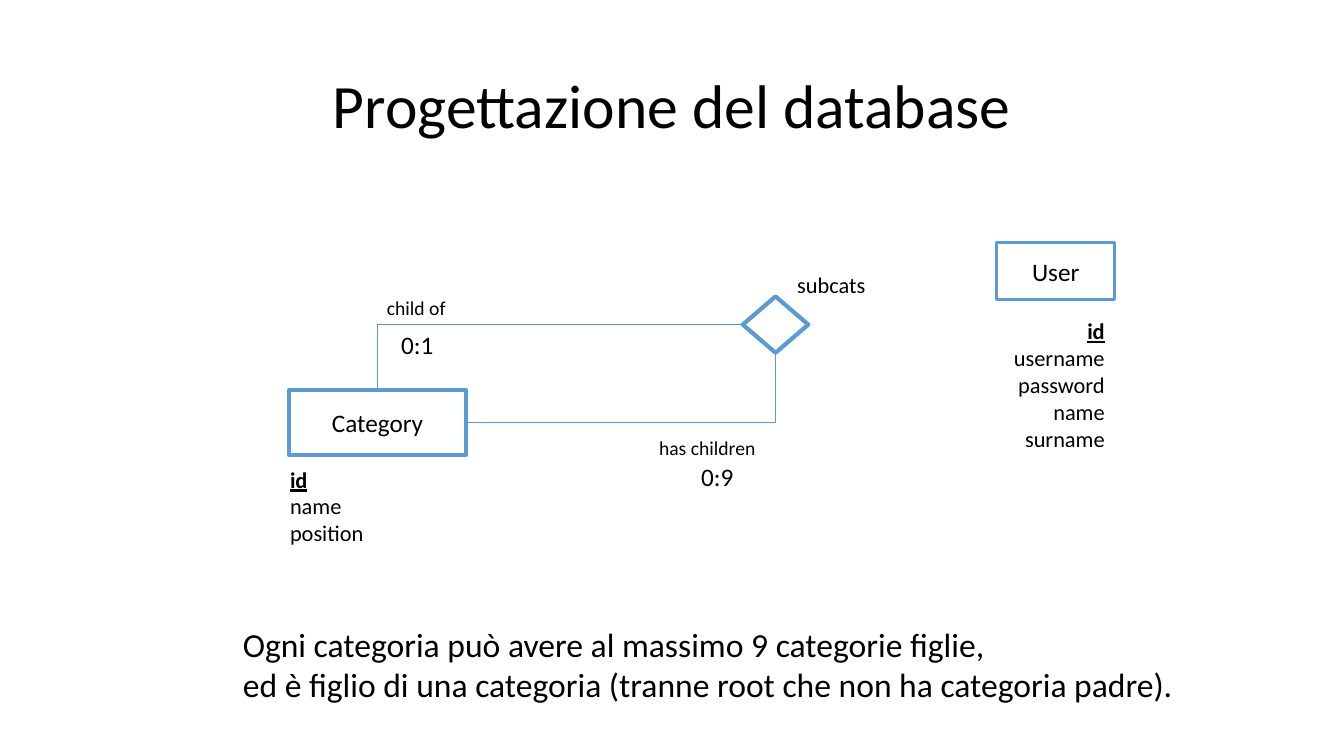
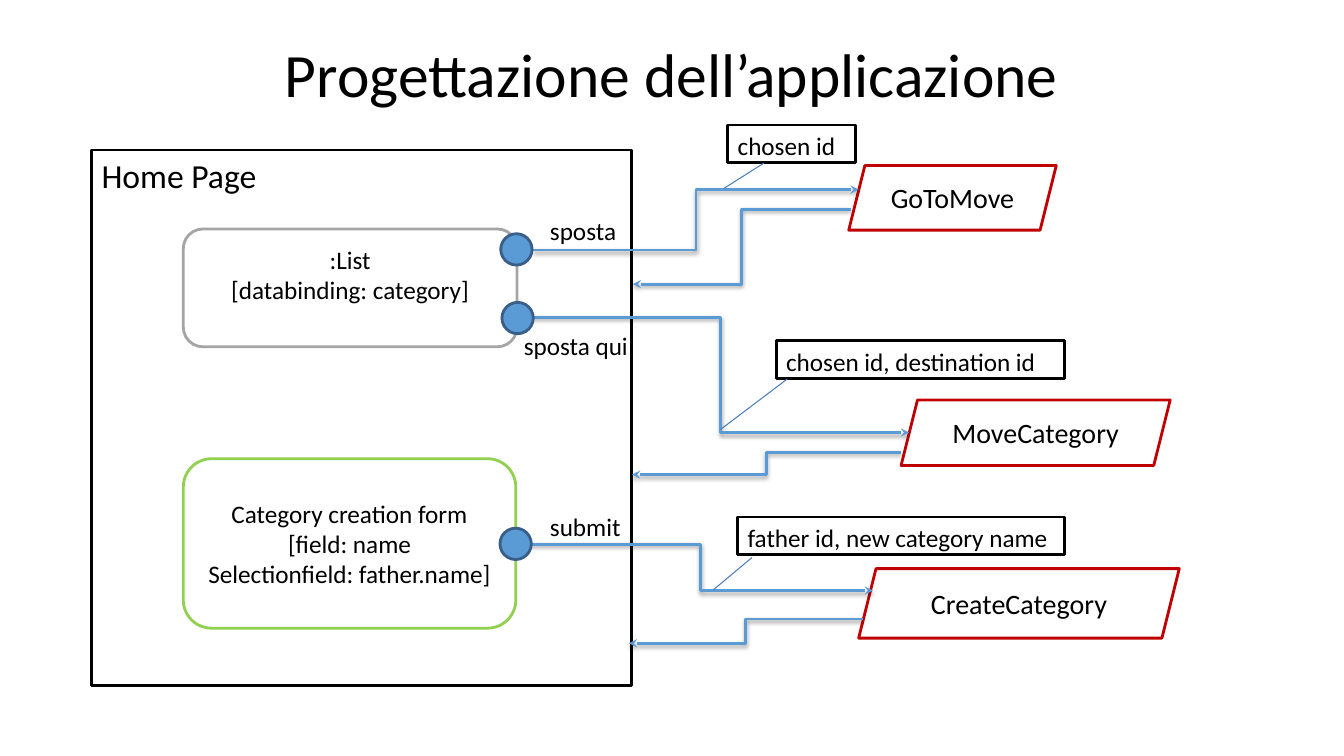
from dataclasses import dataclass, field
from typing import Any, NamedTuple, Optional

from pptx import Presentation
from pptx.dml.color import RGBColor as Rgb
from pptx.enum.shapes import MSO_CONNECTOR as Link, MSO_SHAPE as Form
from pptx.enum.text import MSO_ANCHOR as Anchor, PP_ALIGN as Align
from pptx.oxml import parse_xml
from pptx.oxml.ns import nsdecls
from pptx.util import Cm, Pt


@dataclass(frozen=True)
class Theme:
    font: str = "Calibri"
    black: str = "000000"
    white: str = "FFFFFF"
    blue: str = "5B9BD5"
    navy: str = "395E89"
    steel: str = "4A7DBA"
    green: str = "92D050"
    gray: str = "A5A5A5"
    red: str = "C00000"
    title: int = 44
    large: int = 24
    act: int = 20
    body: int = 18
    small: int = 16
    tiny: int = 14


T = Theme()


class Area(NamedTuple):
    left: float
    top: float
    width: float
    height: float


class Point(NamedTuple):
    x: float
    y: float


@dataclass(frozen=True)
class Text:
    lines: tuple[str, ...] = ()
    size: int = T.body
    align: Align = Align.LEFT
    anchor: Anchor = Anchor.TOP
    wrap: bool = True
    key: bool = False
    space: float = 1.0
    base: float = 0.13


@dataclass(frozen=True)
class Box:
    area: Area
    edge: str
    text: Text = field(default_factory=Text)
    form: Form = Form.RECTANGLE
    fill: str = T.white
    weight: float = 2


@dataclass(frozen=True)
class Label:
    area: Area
    text: Text


@dataclass(frozen=True)
class Wire:
    start: Point
    end: Point
    tint: str = T.blue
    weight: float = 2
    kind: Link = Link.ELBOW
    arrow: bool = True


def apply(item: Any, values: dict[str, Any]) -> None:
    for name, value in values.items():
        setattr(item, name, value)


def write(shape: Any, text: Text) -> None:
    frame = shape.text_frame
    apply(frame, {
        "word_wrap": text.wrap,
        "vertical_anchor": text.anchor,
        "margin_bottom": Cm(text.base),
    })
    for row, line in enumerate(text.lines):
        para = frame.add_paragraph() if row else frame.paragraphs[0]
        apply(para, {"alignment": text.align, "line_spacing": text.space})
        run = para.add_run()
        run.text = line
        mark = text.key and row == 0
        apply(run.font, {
            "name": T.font, "size": Pt(text.size),
            "bold": mark, "underline": mark,
        })
        run.font.color.rgb = Rgb.from_string(T.black)


def draw_box(slide: Any, box: Box) -> Any:
    shape = slide.shapes.add_shape(box.form, *map(Cm, box.area))
    shape.shadow.inherit = False
    shape.fill.solid()
    shape.fill.fore_color.rgb = Rgb.from_string(box.fill)
    shape.line.color.rgb = Rgb.from_string(box.edge)
    shape.line.width = Pt(box.weight)
    write(shape, box.text)
    return shape


def draw_label(slide: Any, label: Label) -> None:
    write(slide.shapes.add_textbox(*map(Cm, label.area)), label.text)


def draw_title(slide: Any, area: Area, words: str) -> None:
    draw_label(slide, Label(area, Text(
        (words,), T.title, Align.CENTER, Anchor.MIDDLE, space=0.9)))


def draw_wire(slide: Any, wire: Wire) -> Any:
    link = slide.shapes.add_connector(
        wire.kind, *map(Cm, (*wire.start, *wire.end)))
    link.line.color.rgb = Rgb.from_string(wire.tint)
    link.line.width = Pt(wire.weight)
    shade = ""
    if wire.arrow:
        link.line._get_or_add_ln().append(
            parse_xml(f'<a:tailEnd {nsdecls("a")} type="stealth"/>'))
        shade = ('<a:outerShdw blurRad="40000" dist="20000" dir="5400000" '
                 f'rotWithShape="0"><a:srgbClr val="{T.black}">'
                 '<a:alpha val="38000"/></a:srgbClr></a:outerShdw>')
    link._element.spPr.append(
        parse_xml(f'<a:effectLst {nsdecls("a")}>{shade}</a:effectLst>'))
    return link


def join(slide: Any, first: Any, side: int, last: Any, port: int) -> None:
    link = draw_wire(slide, Wire(
        Point(0, 0), Point(1, 1), weight=0.5, arrow=False))
    link.begin_connect(first, side)
    link.end_connect(last, port)
    link._element.spPr.prstGeom.set("prst", "bentConnector2")


def middle(*lines: str, size: int = T.body, base: float = 0.13) -> Text:
    return Text(lines, size, Align.CENTER, Anchor.MIDDLE, base=base)


def free(*lines: str, size: int = T.body, key: bool = False) -> Text:
    return Text(lines, size, wrap=False, key=key)


def build_data(slide: Any) -> None:
    draw_title(slide, Area(2.33, 0.89, 29.21, 3.68),
               "Progettazione del database")
    group = draw_box(slide, Box(
        Area(7.28, 9.83, 4.47, 1.63), T.blue, middle("Category"), weight=3))
    knot = draw_box(slide, Box(
        Area(18.72, 7.47, 1.65, 1.42), T.blue, form=Form.DIAMOND, weight=3))
    draw_box(slide, Box(
        Area(25.12, 6.12, 2.97, 1.42), T.blue, middle("User")))
    join(slide, group, 3, knot, 2)
    join(slide, knot, 1, group, 0)
    for label in (
        Label(Area(17.42, 11.51, 1.35, 1.02), free("0:9")),
        Label(Area(16.36, 10.87, 2.97, 0.86),
              free("has children", size=T.tiny)),
        Label(Area(9.5, 7.32, 2.01, 0.86), free("child of", size=T.tiny)),
        Label(Area(9.86, 8.18, 1.35, 1.02), free("0:1")),
        Label(Area(7.06, 11.61, 2.39, 2.31),
              free("id", "name", "position", size=T.small, key=True)),
        Label(Area(19.84, 6.71, 2.26, 0.94), free("subcats", size=T.small)),
        Label(Area(5.87, 15.6, 24.16, 2.31), free(
            "Ogni categoria può avere al massimo 9 categorie figlie,",
            "ed è figlio di una categoria "
            "(tranne root che non ha categoria padre).", size=T.large)),
        Label(Area(24.36, 7.87, 3.73, 3.61), Text(
            ("id", "username", "password", "name", "surname"),
            T.small, Align.RIGHT, key=True)),
    ):
        draw_label(slide, label)


def build_app(slide: Any) -> None:
    draw_title(slide, Area(5.5, 0.76, 22.86, 2.39),
               "Progettazione dell’applicazione")
    panes = (
        Box(Area(2.31, 3.78, 13.61, 13.49), T.black,
            Text(("Home Page",), T.large)),
        Box(Area(4.62, 11.56, 8.38, 4.27), T.green,
            middle("Category creation form", "[field: name",
                   "Selectionfield: father.name]"), Form.ROUNDED_RECTANGLE),
        Box(Area(4.62, 5.77, 8.41, 2.97), T.gray,
            middle(":List", "[databinding: category]", base=0.82),
            Form.ROUNDED_RECTANGLE),
    )
    acts = tuple(
        Box(area, T.red, middle(name, size=T.act), Form.PARALLELOGRAM)
        for name, area in (
            ("GoToMove", Area(21.39, 4.17, 5.23, 1.63)),
            ("MoveCategory", Area(22.71, 10.08, 6.78, 1.65)),
            ("CreateCategory", Area(21.64, 14.33, 8.08, 1.75)),
        ))
    notes = tuple(
        Box(Area(left, top, width, 0.94), T.black, Text((words,)))
        for words, left, top, width in (
            ("chosen id", 18.34, 3.15, 3.23),
            ("chosen id, destination id", 19.56, 8.59, 7.26),
            ("father id, new category name", 18.59, 13.03, 8.23),
        ))
    for box in panes + acts + notes:
        draw_box(slide, box)

    for start, end in (
        (Point(13.44, 6.3), Point(21.64, 4.78)),
        (Point(21.44, 5.28), Point(15.95, 7.16)),
        (Point(13.41, 8), Point(22.91, 10.9)),
        (Point(22.71, 11.4), Point(15.93, 11.96)),
        (Point(13.31, 13.72), Point(22, 14.88)),
        (Point(21.74, 15.6), Point(15.85, 16.21)),
    ):
        draw_wire(slide, Wire(start, end))
    for start, end in (
        (Point(19.25, 4.11), Point(18.24, 4.75)),
        (Point(19.84, 9.55), Point(18.16, 10.82)),
        (Point(18.95, 14.05), Point(17.98, 14.86)),
    ):
        draw_wire(slide, Wire(
            start, end, T.steel, 0.75, Link.STRAIGHT, arrow=False))

    for words, area in (
        ("sposta", Area(13.61, 5.31, 2.31, 0.76)),
        ("sposta qui", Area(12.95, 8.2, 3.61, 0.89)),
        ("submit", Area(13.61, 12.75, 2.31, 0.76)),
    ):
        draw_label(slide, Label(area, Text((words,))))
    for spot in (Point(12.62, 5.89), Point(12.65, 7.62), Point(12.6, 13.31)):
        draw_box(slide, Box(
            Area(*spot, 0.79, 0.79), T.navy, form=Form.OVAL, fill=T.blue))


def main() -> None:
    deck = Presentation()
    apply(deck, {"slide_width": Cm(33.87), "slide_height": Cm(19.05)})
    for build in (build_data, build_app):
        build(deck.slides.add_slide(deck.slide_layouts[6]))
    deck.save("out.pptx")


if __name__ == "__main__":
    main()
